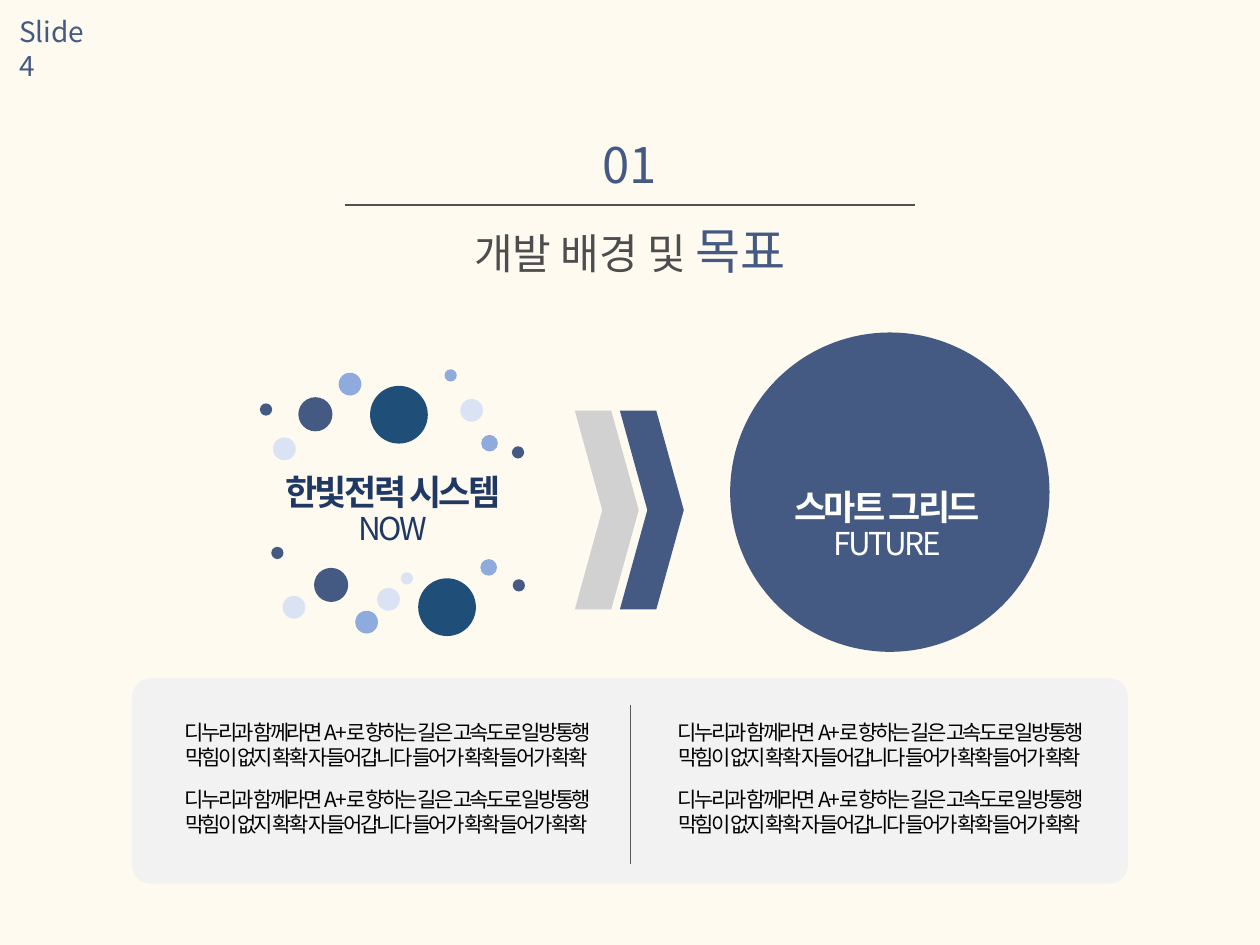
import pptx
import pptx.dml.color
import pptx.enum.shapes
import pptx.enum.text
import pptx.oxml.ns
import pptx.util
import lxml.etree

Pt = pptx.util.Pt
RGBColor = pptx.dml.color.RGBColor
Shape = pptx.enum.shapes.MSO_SHAPE
Align = pptx.enum.text.PP_ALIGN
qn = pptx.oxml.ns.qn

CREAM = RGBColor(0xFE, 0xFA, 0xEF)
BLUE = RGBColor(0x45, 0x5A, 0x83)
DEEP_BLUE = RGBColor(0x1F, 0x4E, 0x79)
NAVY = RGBColor(0x20, 0x38, 0x64)
SKY = RGBColor(0x8F, 0xAA, 0xDC)
PALE = RGBColor(0xDA, 0xE3, 0xF3)
PANEL = RGBColor(0xF2, 0xF2, 0xF2)
SILVER = RGBColor(0xD1, 0xD1, 0xD1)
TITLE_GRAY = RGBColor(0x4D, 0x4D, 0x4F)
RULE_GRAY = RGBColor(0x51, 0x51, 0x53)
DIVIDER_GRAY = RGBColor(0x59, 0x59, 0x59)
BLACK = RGBColor(0, 0, 0)
WHITE = RGBColor(0xFF, 0xFF, 0xFF)

BODY = "디누리과 함께라면 A+로 향하는 길은 고속도로 일방통행 막힘이 없지 확확 자 들어갑니다 들어가 확확 들어가 확확"

LARGE, MEDIUM, SMALL, MINI, TINY = 33, 19.5, 13, 9.5, 7
DOTS = [
    (170.5, 227, MEDIUM, BLUE), (211.5, 220.5, LARGE, DEEP_BLUE),
    (193.5, 213, SMALL, SKY), (148.5, 230.5, TINY, BLUE),
    (156, 250, SMALL, PALE), (292.5, 255, TINY, BLUE),
    (275, 248.5, MINI, SKY), (254, 211, TINY, SKY),
    (263, 228, SMALL, PALE), (179.5, 324.5, MEDIUM, BLUE),
    (239, 330.5, LARGE, DEEP_BLUE), (203, 349, SMALL, SKY),
    (155, 312.5, TINY, BLUE), (161.5, 340.5, SMALL, PALE),
    (293, 331, TINY, BLUE), (274.5, 319.5, MINI, SKY),
    (229, 327, TINY, PALE), (215.5, 336, SMALL, PALE),
]


class SlideBuilder:
    font_name = "Noto Sans CJK KR"

    def __init__(self, presentation):
        self.slide = presentation.slides.add_slide(presentation.slide_layouts[6])
        self.shapes = self.slide.shapes

    def background(self, color):
        fill = self.slide.background.fill
        fill.solid()
        fill.fore_color.rgb = color

    def begin_group(self):
        self.shapes = self.slide.shapes.add_group_shape().shapes

    def shape(self, kind, left, top, width, height, color, adjustment=None):
        shape = self.shapes.add_shape(kind, Pt(left), Pt(top), Pt(width), Pt(height))
        shape.shadow.inherit = False
        shape.fill.solid()
        shape.fill.fore_color.rgb = color
        shape.line.fill.background()
        if adjustment is not None:
            shape.adjustments[0] = adjustment

    def line(self, start_x, start_y, end_x, end_y, color, width):
        connector = self.shapes.add_connector(
            pptx.enum.shapes.MSO_CONNECTOR.STRAIGHT,
            Pt(start_x), Pt(start_y), Pt(end_x), Pt(end_y))
        connector.line.color.rgb = color
        connector.line.width = Pt(width)
        lxml.etree.SubElement(connector._element.spPr, qn("a:effectLst"))

    def text(self, left, top, width, height, runs, align=Align.CENTER,
             bold=False, spacing=0, wrap=True):
        box = self.shapes.add_textbox(Pt(left), Pt(top), Pt(width), Pt(height))
        frame = box.text_frame
        frame.word_wrap = wrap
        frame.auto_size = pptx.enum.text.MSO_AUTO_SIZE.SHAPE_TO_FIT_TEXT
        paragraph = frame.paragraphs[0]
        paragraph.alignment = align
        for words, size, color in runs:
            run = paragraph.add_run()
            run.text = words
            run.font.size = Pt(size)
            run.font.bold = bold
            run.font.color.rgb = color
            run.font.name = self.font_name
            properties = run._r.get_or_add_rPr()
            east_asian = lxml.etree.SubElement(properties, qn("a:ea"))
            east_asian.set("typeface", self.font_name)
            if spacing:
                properties.set("spc", str(int(spacing * 100)))

    def caption(self, left, top, name, period, color):
        self.text(left, top, 152, 31.5, [(name, 20, color)], bold=True, spacing=-1.5)
        self.text(left, top + 22, 152, 29, [(period, 18, color)], spacing=-1.5)


def main():
    presentation = pptx.Presentation()
    presentation.slide_width = Pt(720)
    presentation.slide_height = Pt(540)
    builder = SlideBuilder(presentation)
    builder.background(CREAM)

    builder.text(4, 5, 58.5, 26.5, [("Slide 4", 16, BLUE)], align=Align.LEFT)
    builder.text(0, 122.5, 720, 41,
                 [("개발 배경 및 ", 24, TITLE_GRAY), ("목표", 28, BLUE)])
    builder.line(197, 117, 523, 117, RULE_GRAY, 1)
    builder.text(337, 73.5, 46, 41, [("01", 28, BLUE)], align=Align.LEFT, wrap=False)

    builder.shape(Shape.ROUNDED_RECTANGLE, 75.5, 387.5, 569, 117.5, PANEL, 0.09)
    builder.shape(Shape.OVAL, 417.25, 190, 182.5, 182.5, BLUE)
    for left, color in ((328.5, SILVER), (354.25, BLUE)):
        builder.shape(Shape.CHEVRON, left, 234.75, 36.5, 113.5, color, 0.43)

    builder.line(360, 403, 360, 494, DIVIDER_GRAY, 0.5)
    for left in (87, 368.75):
        for top in (407.5, 446):
            builder.text(left, top, 268, 36, [(BODY, 12, BLACK)], spacing=-1.5)
    builder.caption(431, 273.75, "스마트 그리드", "FUTURE", WHITE)

    builder.begin_group()
    for left, top, size, color in DOTS:
        builder.shape(Shape.OVAL, left, top, size, size, color)
    builder.caption(148.5, 265.5, "한빛전력 시스템", "NOW", NAVY)

    presentation.save("out.pptx")


if __name__ == "__main__":
    main()
